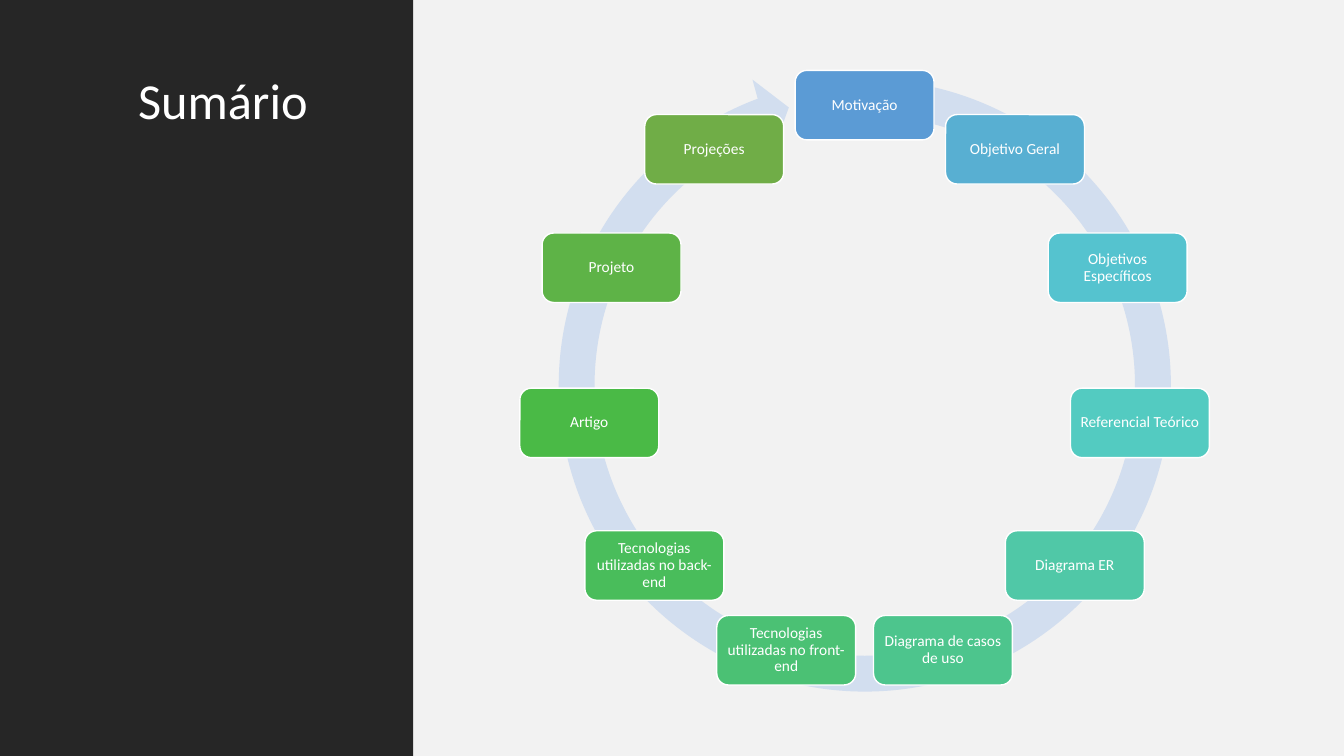
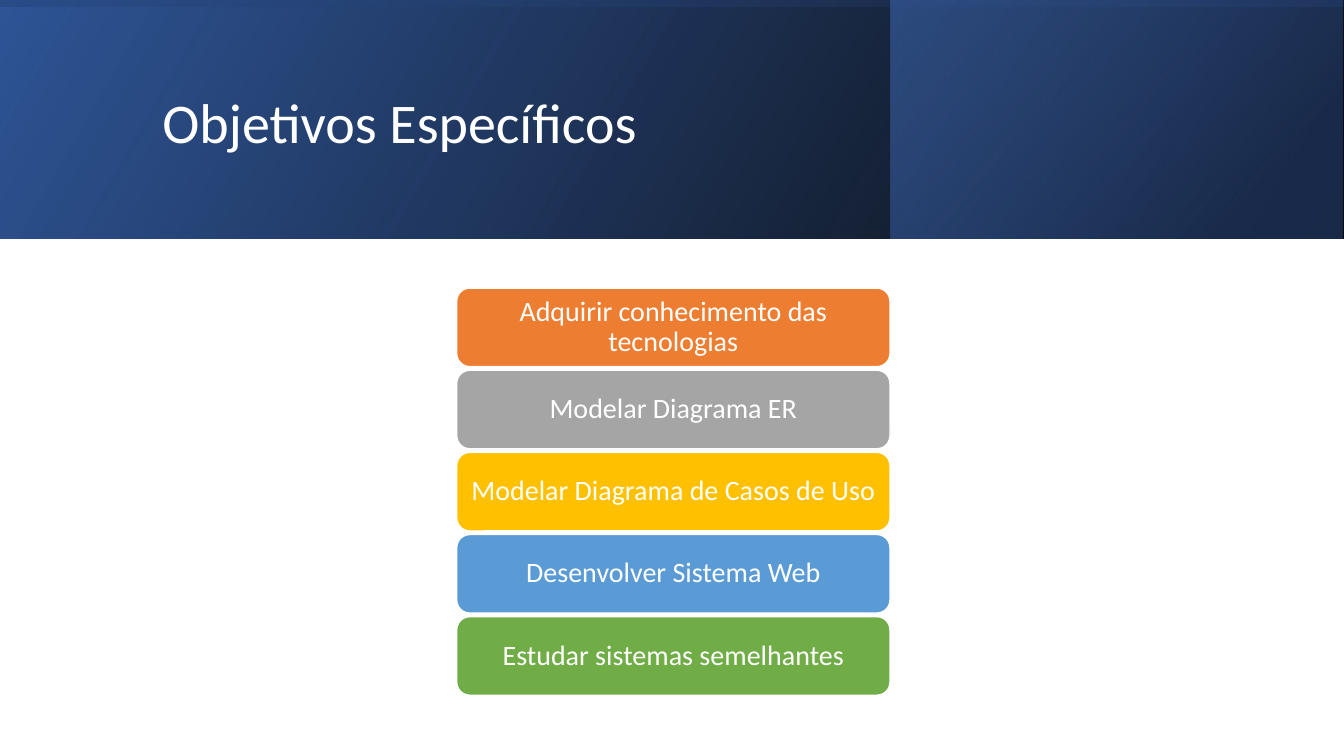
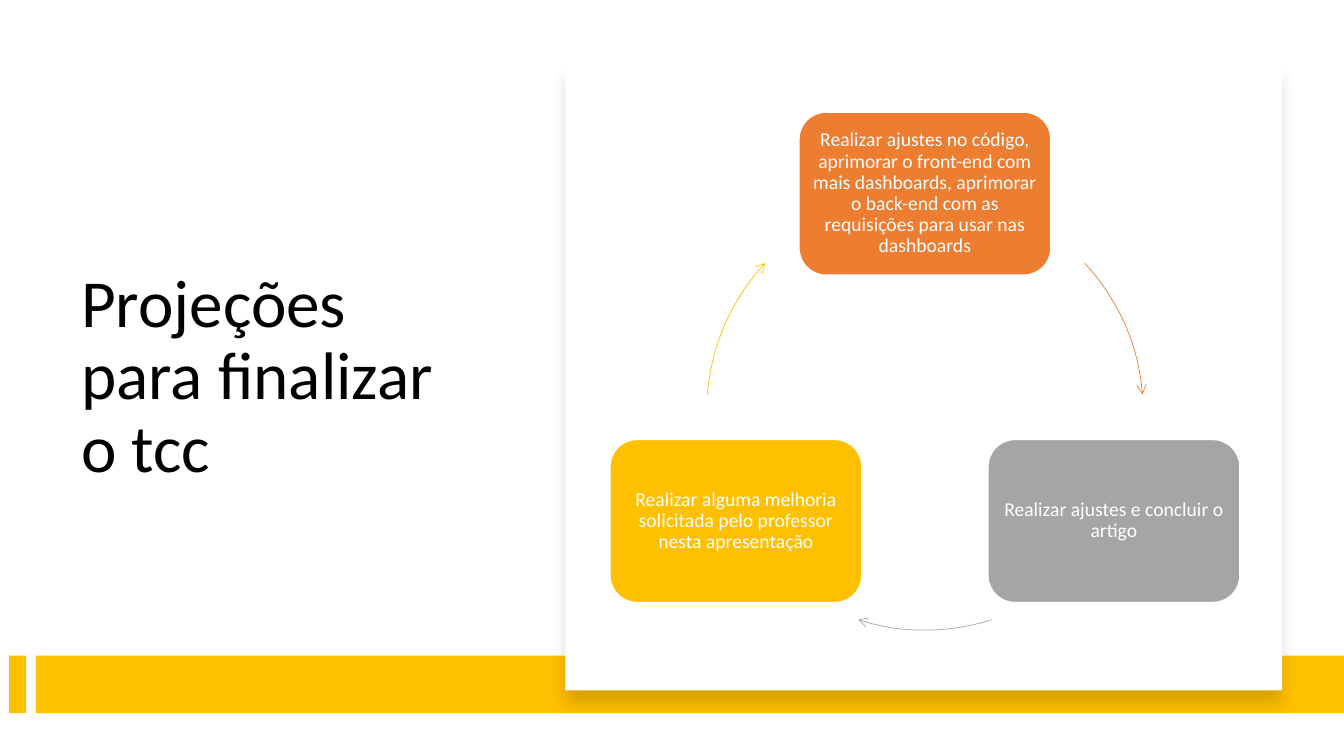
import math

from lxml import etree
from pptx import Presentation
from pptx import util as u
from pptx.dml.color import RGBColor
from pptx.enum import shapes, text
from pptx.oxml import parse_xml
from pptx.oxml.ns import nsdecls, qn

COLORS = {
    "white": "FFFFFF", "black": "000000", "charcoal": "262626", "mist": "F2F2F2",
    "ring": "D2DEEF", "orange": "ED7D31", "gray": "A5A5A5", "gold": "FFC000",
    "blue": "5B9BD5", "green": "70AD47", "deep blue": "2F5597",
    "navy": "203864", "royal": "4472C4",
    "sky": "58AFD2", "aqua": "55C3CF", "turquoise": "53CBC1", "sea": "50C8A7",
    "jade": "4DC58D", "mint": "4BC174", "emerald": "49BD5B", "grass": "4ABA46",
    "leaf": "5EB347",
}
FONT = "Calibri"
SLIDE_W, SLIDE_H = 33.87, 19.05
KIND = shapes.MSO_SHAPE


def write(shape, words, size, color="white", align="CENTER", anchor="MIDDLE", padding=(0.25, 0.13)):
    """Fill a shape with one paragraph; padding is (sides, top and bottom) in cm."""
    frame = shape.text_frame
    frame.word_wrap = True
    frame.vertical_anchor = text.MSO_ANCHOR[anchor]
    frame.margin_left = frame.margin_right = u.Cm(padding[0])
    frame.margin_top = frame.margin_bottom = u.Cm(padding[1])
    paragraph = frame.paragraphs[0]
    paragraph.alignment = text.PP_ALIGN[align]
    paragraph.line_spacing = 0.9
    run = paragraph.add_run()
    run.text = words
    run.font.name = FONT
    run.font.size = u.Pt(size)
    run.font.color.rgb = RGBColor.from_string(COLORS[color])


def add_block(slide, kind, box, fill=None, outline=None, weight=1):
    """Add a preset shape; box is left, top, width, height in cm."""
    block = slide.shapes.add_shape(kind, *map(u.Cm, box))
    block.shadow.inherit = False
    if fill:
        block.fill.solid()
        block.fill.fore_color.rgb = RGBColor.from_string(COLORS[fill])
    else:
        block.fill.background()
    if outline:
        block.line.color.rgb = RGBColor.from_string(COLORS[outline])
        block.line.width = u.Pt(weight)
    else:
        block.line.fill.background()
    return block


deck = Presentation()
deck.slide_width, deck.slide_height = u.Cm(SLIDE_W), u.Cm(SLIDE_H)
summary, goals, outlook = [deck.slides.add_slide(deck.slide_layouts[6]) for _ in range(3)]

# Summary: dark side panel and ring arrow
SUMMARY_CENTER, SUMMARY_RADIUS = (21.79, 9.66), 7.01
add_block(summary, KIND.RECTANGLE, (10.4, 0, SLIDE_W - 10.4, SLIDE_H), "mist")
add_block(summary, KIND.RECTANGLE, (0, 0, 10.41, SLIDE_H), "charcoal")
ring_arrow = add_block(summary, KIND.CIRCULAR_ARROW, (13.58, 1.5, 16.43, 16.43), "ring")
for index, value in enumerate((0.055, 3.307, 149.52, 167.041, 0.058)):
    ring_arrow.adjustments[index] = value

# Goals: three translucent gradients make the header band
BAND_H = 6.02
band_layers = [
    # box, rotation, gradient angle, stops of (position, color, opacity) in percent
    ((0, 0, SLIDE_W, BAND_H), 0, 330, [(0, "black", 96), (100, "deep blue", 100)]),
    ((22.45, 0, 11.38, BAND_H), 0, 320, [(19, "navy", 68), (100, "royal", 48)]),
    (((SLIDE_W - BAND_H) / 2, (BAND_H - SLIDE_W) / 2, BAND_H, SLIDE_W), 270, 350,
     [(23, "deep blue", 16), (99, "black", 45)]),
]
for box, rotation, angle, stops in band_layers:
    layer = add_block(goals, KIND.RECTANGLE, box)
    layer.rotation = rotation
    properties = layer.element.spPr
    properties.find(qn("a:xfrm")).set("flipH", "1")
    stop_xml = "".join(
        f'<a:gs pos="{position * 1000}"><a:srgbClr val="{COLORS[color]}">'
        f'<a:alpha val="{opacity * 1000}"/></a:srgbClr></a:gs>'
        for position, color, opacity in stops)
    properties.replace(properties.find(qn("a:noFill")), parse_xml(
        f'<a:gradFill rotWithShape="1" {nsdecls("a")}><a:gsLst>{stop_xml}</a:gsLst>'
        f'<a:lin ang="{angle * 60000}" scaled="0"/></a:gradFill>'))

goal_rows = [
    ("Adquirir conhecimento das tecnologias", "orange"),
    ("Modelar Diagrama ER", "gray"),
    ("Modelar Diagrama de Casos de Uso", "gold"),
    ("Desenvolver Sistema Web", "blue"),
    ("Estudar sistemas semelhantes", "green"),
]
for row, (goal, color) in enumerate(goal_rows):
    bar = add_block(goals, KIND.ROUNDED_RECTANGLE, (11.51, 7.26 + 2.07 * row, 10.92, 1.98),
                    color, "white")
    write(bar, goal, 20, padding=(0.2, 0.1))

# Outlook: gold stripe, card with a soft shadow, arcs between the steps
OUTLOOK_CENTER, OUTLOOK_RADIUS = (23.31, 10.38), 5.5
for left, width in ((0.23, 0.43), (0.91, SLIDE_W - 0.91)):
    add_block(outlook, KIND.RECTANGLE, (left, 16.52, width, 1.45), "gold")
card = add_block(outlook, KIND.RECTANGLE, (14.25, 1.63, 18.06, 15.77), "white")
card.element.spPr.find(qn("a:effectLst")).append(parse_xml(
    f'<a:outerShdw blurRad="{u.Pt(11)}" dist="{u.Pt(10)}" dir="5400000" algn="t" rotWithShape="0" '
    f'{nsdecls("a")}><a:srgbClr val="{COLORS["black"]}"><a:alpha val="15000"/></a:srgbClr>'
    f'</a:outerShdw>'))
arc_box = [c - OUTLOOK_RADIUS for c in OUTLOOK_CENTER] + [2 * OUTLOOK_RADIUS] * 2
for color, start, end in (("orange", 317, 355.4), ("gray", 72.2, 107.8), ("gold", 184.6, 223)):
    arc = add_block(outlook, KIND.ARC, arc_box, outline=color, weight=0.5)
    # Arc angles are stored in 60000ths of a degree, adjustments in 100000ths
    arc.adjustments[0], arc.adjustments[1] = start * 0.6, end * 0.6
    etree.SubElement(arc.line._get_or_add_ln(), qn("a:tailEnd"), type="arrow")

# Steps spaced evenly around a circle, clockwise from the top
summary_steps = [
    ("Motivação", "blue"), ("Objetivo Geral", "sky"), ("Objetivos Específicos", "aqua"),
    ("Referencial Teórico", "turquoise"), ("Diagrama ER", "sea"),
    ("Diagrama de casos de uso", "jade"), ("Tecnologias utilizadas no front-end", "mint"),
    ("Tecnologias utilizadas no back-end", "emerald"), ("Artigo", "grass"),
    ("Projeto", "leaf"), ("Projeções", "green"),
]
outlook_steps = [
    ("Realizar ajustes no código, aprimorar o front-end com mais dashboards, aprimorar "
     "o back-end com as requisições para usar nas dashboards", "orange"),
    ("Realizar ajustes e concluir o artigo", "gray"),
    ("Realizar alguma melhoria solicitada pelo professor nesta apresentação", "gold"),
]
cycles = [
    (summary, SUMMARY_CENTER, SUMMARY_RADIUS, 3.5, 1.75, 11, 0.13, summary_steps),
    (outlook, OUTLOOK_CENTER, OUTLOOK_RADIUS, 6.35, 4.11, 14, 0.15, outlook_steps),
]
for slide, (center_x, center_y), radius, width, height, size, padding, steps in cycles:
    for index, (step, color) in enumerate(steps):
        turn = 2 * math.pi * index / len(steps)
        left = center_x + radius * math.sin(turn) - width / 2
        top = center_y - radius * math.cos(turn) - height / 2
        node = add_block(slide, KIND.ROUNDED_RECTANGLE, (left, top, width, height), color, "white")
        write(node, step, size, padding=(padding, padding))

titles = [
    (summary, "Sumário", (3.23, 1.78, 6.1, 15.49), 36, "white", "TOP"),
    (goals, "Objetivos Específicos", (3.84, 0.97, 27, 4.37), 40, "white", "MIDDLE"),
    (outlook, "Projeções para finalizar o tcc", (1.8, 3.05, 10.54, 12.95), 48, "black", "MIDDLE"),
]
for slide, title, box, size, color, anchor in titles:
    write(slide.shapes.add_textbox(*map(u.Cm, box)), title, size, color, "LEFT", anchor)

deck.save("out.pptx")
